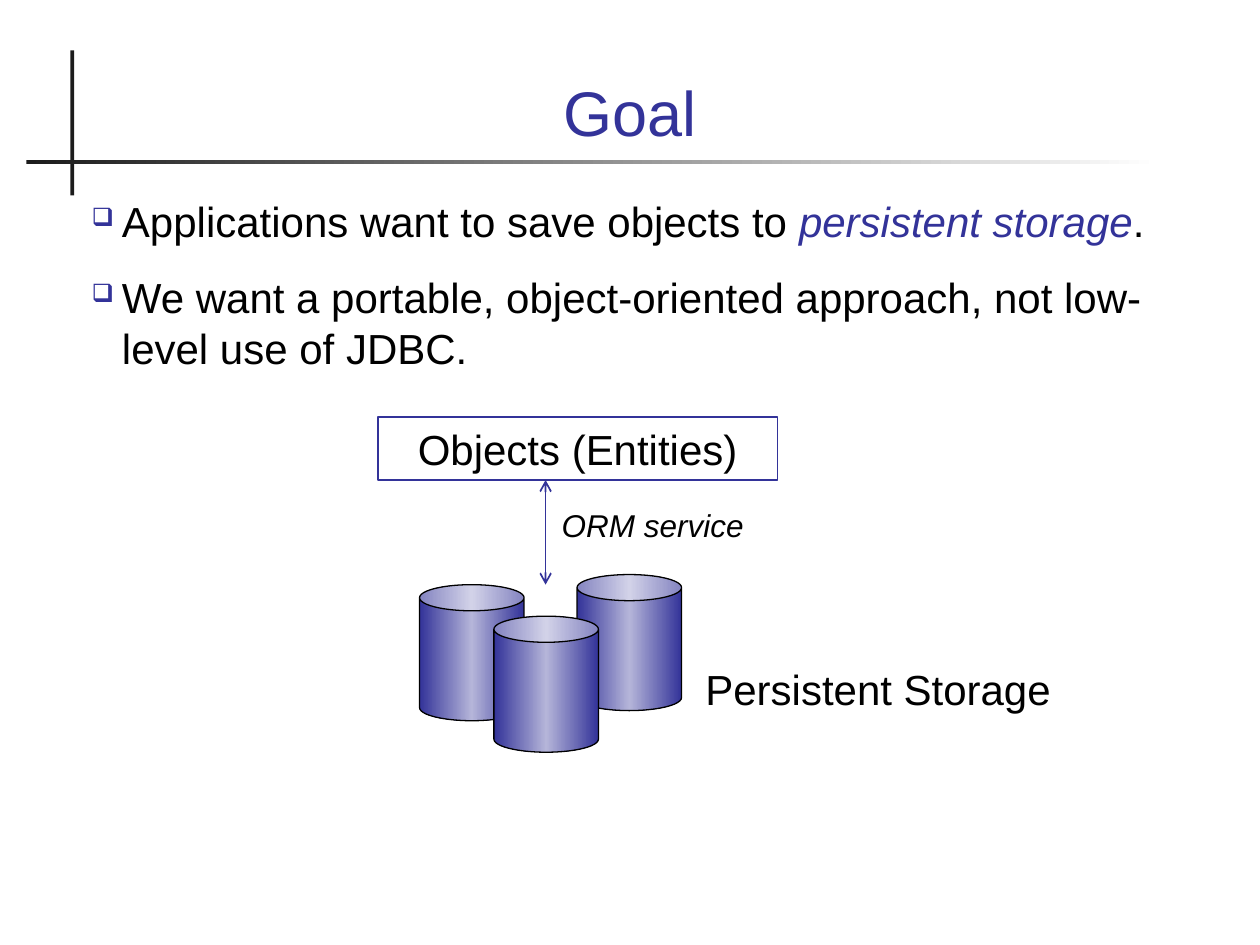
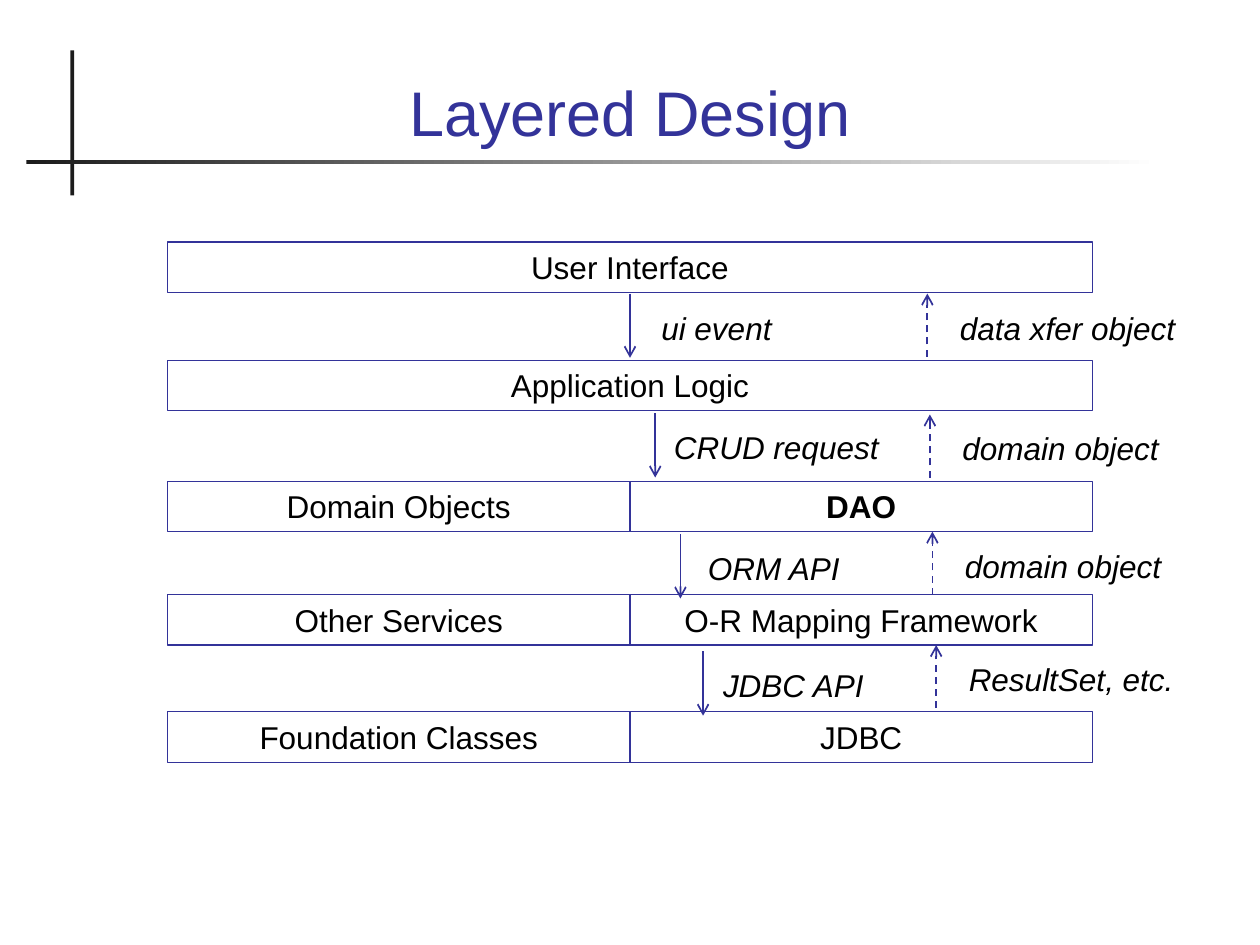
from lxml.etree import SubElement
from pptx import Presentation
from pptx.dml.color import RGBColor
from pptx.enum.dml import MSO_LINE
from pptx.enum.shapes import MSO_CONNECTOR, MSO_SHAPE
from pptx.enum.text import MSO_ANCHOR, PP_ALIGN
from pptx.oxml.ns import qn
from pptx.util import Inches, Pt

FONT = "Arial"
INDIGO = "333399"
LILAC = "B5B5D9"
CHARCOAL = "1C1C1C"
WHITE = "FFFFFF"
BLACK = "000000"
BOX_HEIGHT = 0.4
FULL_WIDTH = 7.34


def color(hex_string):
    """Turn a hex string into a colour."""
    return RGBColor.from_string(hex_string)


def style_paragraph(paragraph, size, hex_color=BLACK, align=PP_ALIGN.LEFT, bold=False, italic=False):
    """Set the alignment and the font of a paragraph."""
    paragraph.alignment = align
    font = paragraph.font
    font.name = FONT
    font.size = Pt(size)
    font.bold = bold
    font.italic = italic
    font.color.rgb = color(hex_color)


def fill_gradient(shape, hex_colors):
    """Fill a shape from left to right with evenly spaced colours."""
    shape.fill.gradient()
    shape.fill.gradient_angle = 0
    stops = shape._element.spPr.find(qn("a:gradFill")).find(qn("a:gsLst"))
    stops.clear()
    for index, hex_color in enumerate(hex_colors):
        position = 100000 * index // (len(hex_colors) - 1)
        stop = SubElement(stops, qn("a:gs"), pos=str(position))
        SubElement(stop, qn("a:srgbClr"), val=hex_color)


def add_plain_shape(slide, kind, left, top, width, height, line_color=None):
    """Add an unfilled preset shape without a shadow."""
    shape = slide.shapes.add_shape(kind, Inches(left), Inches(top), Inches(width), Inches(height))
    shape.shadow.inherit = False
    shape.fill.background()
    if line_color:
        shape.line.color.rgb = color(line_color)
        shape.line.width = Pt(0.75)
    else:
        shape.line.fill.background()
    return shape


def add_text(slide, text, left, top, width, height, size, **style):
    """Add a text box with one styled paragraph."""
    box = slide.shapes.add_textbox(Inches(left), Inches(top), Inches(width), Inches(height))
    frame = box.text_frame
    frame.word_wrap = True
    frame.text = text
    style_paragraph(frame.paragraphs[0], size, **style)
    return frame


def add_outlined_box(slide, text, left, top, width, height=BOX_HEIGHT, size=18, bold=False):
    """Add an outlined rectangle with centred text."""
    shape = add_plain_shape(slide, MSO_SHAPE.RECTANGLE, left, top, width, height, INDIGO)
    frame = shape.text_frame
    frame.vertical_anchor = MSO_ANCHOR.TOP
    frame.text = text
    style_paragraph(frame.paragraphs[0], size, align=PP_ALIGN.CENTER, bold=bold)


def add_arrow(slide, x, start, end, dashed=False, double=False):
    """Add a vertical arrow from start to end."""
    arrow = slide.shapes.add_connector(
        MSO_CONNECTOR.STRAIGHT, Inches(x), Inches(start), Inches(x), Inches(end))
    arrow.line.color.rgb = color(INDIGO)
    arrow.line.width = Pt(1)
    if dashed:
        arrow.line.dash_style = MSO_LINE.DASH
    line = arrow.line._get_or_add_ln()
    for end_name in ("a:headEnd", "a:tailEnd") if double else ("a:tailEnd",):
        SubElement(line, qn(end_name), type="arrow")
    SubElement(arrow._element.spPr, qn("a:effectLst"))


def add_titled_slide(presentation, title):
    """Add a blank slide with the crossed rules and the title."""
    slide = presentation.slides.add_slide(presentation.slide_layouts[6])
    upright = add_plain_shape(slide, MSO_SHAPE.RECTANGLE, 0.56, 0.4, 0.03, 1.15)
    upright.fill.solid()
    upright.fill.fore_color.rgb = color(CHARCOAL)
    rule = add_plain_shape(slide, MSO_SHAPE.RECTANGLE, 0.21, 1.27, 8.99, 0.03)
    fill_gradient(rule, [CHARCOAL, WHITE])
    frame = add_text(slide, title, 0.67, 0.28, 8.66, 0.95, 36,
                     hex_color=INDIGO, align=PP_ALIGN.CENTER)
    frame.vertical_anchor = MSO_ANCHOR.BOTTOM
    return slide


def add_bullet(paragraph):
    """Give a paragraph a hanging square bullet."""
    properties = paragraph._p.get_or_add_pPr()
    properties.set("marL", str(Inches(0.24)))
    properties.set("indent", str(-Inches(0.24)))
    bullet_color = SubElement(properties, qn("a:buClr"))
    SubElement(bullet_color, qn("a:srgbClr"), val=INDIGO)
    SubElement(properties, qn("a:buSzPct"), val="60000")
    SubElement(properties, qn("a:buChar"), char="❑")


def add_bullet_list(slide, items, left, top, width, height):
    """Add bulleted paragraphs, each a list of (text, emphasised) runs."""
    box = slide.shapes.add_textbox(Inches(left), Inches(top), Inches(width), Inches(height))
    frame = box.text_frame
    frame.word_wrap = True
    for index, runs in enumerate(items):
        paragraph = frame.add_paragraph() if index else frame.paragraphs[0]
        add_bullet(paragraph)
        style_paragraph(paragraph, 24)
        if index:
            paragraph.space_before = Pt(15)
        for text, emphasised in runs:
            run = paragraph.add_run()
            run.text = text
            if emphasised:
                run.font.italic = True
                run.font.color.rgb = color(INDIGO)


def add_storage_diagram(slide, left, top):
    """Draw entities linked to a group of storage cylinders."""
    add_outlined_box(slide, "Objects (Entities)", left, top, 3.17, 0.5, 24)
    for x, y in ((0.33, 1.33), (1.58, 1.25), (0.92, 1.58)):
        cylinder = add_plain_shape(slide, MSO_SHAPE.CAN, left + x, top + y, 0.83, 1.08, BLACK)
        fill_gradient(cylinder, [INDIGO, LILAC, INDIGO])
    add_arrow(slide, left + 1.33, top + 0.5, top + 1.33, double=True)
    add_text(slide, "ORM service", left + 1.36, top + 0.66, 2, BOX_HEIGHT, 18, italic=True)
    add_text(slide, "Persistent Storage", left + 2.5, top + 1.91, 3.4, 0.5, 24)


def add_layer(slide, names, left, top):
    """Split one layer evenly between its named boxes."""
    width = FULL_WIDTH / len(names)
    for index, name in enumerate(names):
        add_outlined_box(slide, name, left + index * width, top, width, bold=name == "DAO")


def add_exchange(slide, request, reply, left, top):
    """Draw a request arrow down and a dashed reply arrow up, with labels."""
    text, x, y, label_gap = request
    add_arrow(slide, left + x, top + y, top + y + 0.51)
    add_text(slide, text, left + x + label_gap, top + y + 0.07, 2, BOX_HEIGHT, 18, italic=True)
    text, x, y = reply
    add_arrow(slide, left + x, top + y + 0.5, top + y, dashed=True)
    add_text(slide, text, left + x + 0.16, top + y + 0.07, 2.01, BOX_HEIGHT, 18, italic=True)


def build_goal(presentation):
    """Build the slide on the goal of persistence."""
    slide = add_titled_slide(presentation, "Goal")
    items = [
        [("Applications want to save objects to ", False), ("persistent storage", True), (".", False)],
        [("We want a portable, object-oriented approach, not low-level use of JDBC.", False)],
    ]
    add_bullet_list(slide, items, 0.63, 1.5, 8.66, 1.89)
    add_storage_diagram(slide, 3, 3.31)


def build_layered_design(presentation):
    """Build the slide on the layers and what passes between them."""
    slide = add_titled_slide(presentation, "Layered Design")
    left = 1.33
    layers = [
        (1.92, ["User Interface"]),
        (2.86, ["Application Logic"]),
        (3.82, ["Domain Objects", "DAO"]),
        (4.72, ["Other Services", "O-R Mapping Framework"]),
        (5.65, ["Foundation Classes", "JDBC"]),
    ]
    exchanges = [
        (("ui event", 3.67, 0.41, 0.15), ("data xfer object", 6.03, 0.41)),
        (("CRUD request", 3.87, 0.42, 0.05), ("domain object", 6.05, 0.43)),
        (("ORM API", 4.07, 0.42, 0.12), ("domain object", 6.07, 0.4)),
        (("JDBC API", 4.25, 0.45, 0.06), ("ResultSet, etc.", 6.1, 0.4)),
    ]
    for top, names in layers:
        add_layer(slide, names, left, top)
    for (top, names), (request, reply) in zip(layers, exchanges):
        add_exchange(slide, request, reply, left, top)


def main():
    """Build and save the presentation."""
    presentation = Presentation()
    presentation.slide_width = Inches(10)
    presentation.slide_height = Inches(7.5)
    build_goal(presentation)
    build_layered_design(presentation)
    presentation.save("out.pptx")


if __name__ == "__main__":
    main()
